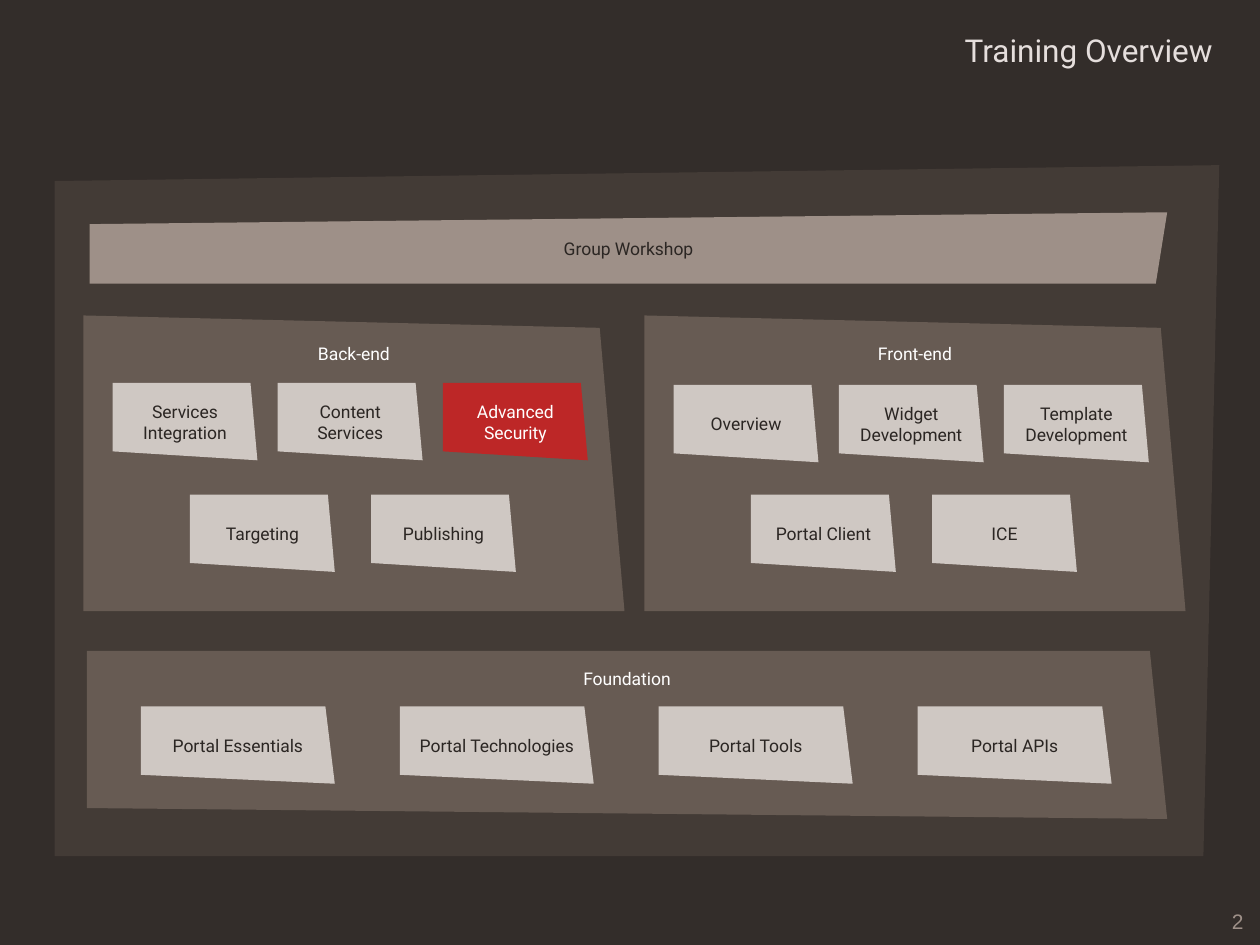
"""Build the Training Overview slide with its panels and course tiles."""
from dataclasses import dataclass

from pptx import Presentation
from pptx.dml.color import RGBColor
from pptx.enum.text import MSO_ANCHOR, PP_ALIGN
from pptx.util import Cm, Pt

BACKGROUND = RGBColor(0x33, 0x2D, 0x2A)
FRAME = RGBColor(0x43, 0x3B, 0x36)
PANEL = RGBColor(0x67, 0x5B, 0x53)
BAR = RGBColor(0x9E, 0x90, 0x88)
TILE = RGBColor(0xCF, 0xC8, 0xC3)
RED = RGBColor(0xBD, 0x27, 0x27)
DARK = RGBColor(0x2B, 0x26, 0x23)
WHITE = RGBColor(0xFF, 0xFF, 0xFF)
TITLE = RGBColor(0xE5, 0xDE, 0xDC)

PANEL_STEP = 11.31
HIGHLIGHT = "Advanced\nSecurity"


@dataclass(frozen=True)
class Outline:
    corners: tuple[tuple[float, float], ...]
    fill: RGBColor


@dataclass(frozen=True)
class TileRow:
    left: float
    top: float
    step: float
    labels: tuple[str, ...]
    width: float = 2.92
    slant: float = 0.14


BACK_FRAME = Outline(((1.1, 3.65), (24.58, 3.33), (24.26, 17.26), (1.1, 17.26)), FRAME)
FOUNDATION = Outline(((1.75, 13.12), (23.18, 13.12), (23.53, 16.51), (1.75, 16.29)), PANEL)
WORKSHOP = Outline(((1.81, 4.52), (23.53, 4.28), (23.3, 5.72), (1.81, 5.72)), BAR)
TRACK = Outline(((1.68, 6.36), (12.09, 6.61), (12.59, 12.32), (1.68, 12.32)), PANEL)

TILE_ROWS = (
    TileRow(2.27, 7.72, 3.33, ("Services\nIntegration", "Content\nServices", HIGHLIGHT)),
    TileRow(3.83, 9.97, 3.65, ("Targeting", "Publishing")),
    TileRow(2.84, 14.24, 5.22,
            ("Portal Essentials", "Portal Technologies", "Portal Tools", "Portal APIs"),
            width=3.91, slant=0.19),
    TileRow(2.27 + PANEL_STEP, 7.76, 3.33,
            ("Overview", "Widget\nDevelopment", "Template\nDevelopment")),
    TileRow(3.83 + PANEL_STEP, 9.97, 3.65, ("Portal Client", "ICE")),
)


def write(s, text: str, *, size: float = 10, color: RGBColor = DARK, font: str = "Roboto",
          align=PP_ALIGN.CENTER, anchor=MSO_ANCHOR.MIDDLE, wrap: bool = False,
          top: float = 0.13) -> None:
    tf = s.text_frame
    tf.text = text
    tf.word_wrap = wrap
    tf.vertical_anchor = anchor
    tf.margin_top = Cm(top)
    for p in tf.paragraphs:
        p.alignment = align
        for r in p.runs:
            r.font.size = Pt(size)
            r.font.name = font
            r.font.color.rgb = color


def draw_outline(slide, outline: Outline, dx: float = 0):
    points = [(Cm(x + dx), Cm(y)) for x, y in outline.corners]
    builder = slide.shapes.build_freeform(*points[0], scale=1.0)
    builder.add_line_segments(points[1:], close=True)
    s = builder.convert_to_shape()
    s.shadow.inherit = False
    s.fill.solid()
    s.fill.fore_color.rgb = outline.fill
    s.line.fill.background()
    return s


def draw_panel(slide, outline: Outline, heading: str, top: float, dx: float = 0) -> None:
    s = draw_outline(slide, outline, dx)
    write(s, heading, color=WHITE, anchor=MSO_ANCHOR.TOP, top=top)


def draw_tiles(slide, row: TileRow) -> None:
    for i, label in enumerate(row.labels):
        x, y = row.left + i * row.step, row.top
        right = x + row.width
        fill, color = (RED, WHITE) if label == HIGHLIGHT else (TILE, DARK)
        corners = ((x, y), (right - row.slant, y), (right, y + 1.56), (x, y + 1.38))
        write(draw_outline(slide, Outline(corners, fill)), label, color=color)


def main() -> None:
    prs = Presentation()
    prs.slide_width, prs.slide_height = Cm(25.4), Cm(19.05)
    slide = prs.slides.add_slide(prs.slide_layouts[6])
    slide.background.fill.solid()
    slide.background.fill.fore_color.rgb = BACKGROUND

    title = slide.shapes.add_textbox(Cm(7.3), Cm(0.5), Cm(17.4), Cm(1.02))
    write(title, "Training Overview", size=18, color=TITLE, align=PP_ALIGN.RIGHT,
          anchor=MSO_ANCHOR.TOP, wrap=True)
    number = slide.shapes.add_textbox(Cm(20.68), Cm(18.22), Cm(4.64), Cm(0.71))
    write(number, "2", size=12, color=BAR, font="Arial", align=PP_ALIGN.RIGHT, wrap=True)

    draw_outline(slide, BACK_FRAME)
    draw_panel(slide, FOUNDATION, "Foundation", top=0.35)
    draw_panel(slide, TRACK, "Front-end", top=0.55, dx=PANEL_STEP)
    draw_panel(slide, TRACK, "Back-end", top=0.55)
    for row in TILE_ROWS:
        draw_tiles(slide, row)
    write(draw_outline(slide, WORKSHOP), "Group Workshop")
    prs.save("out.pptx")


if __name__ == "__main__":
    main()
